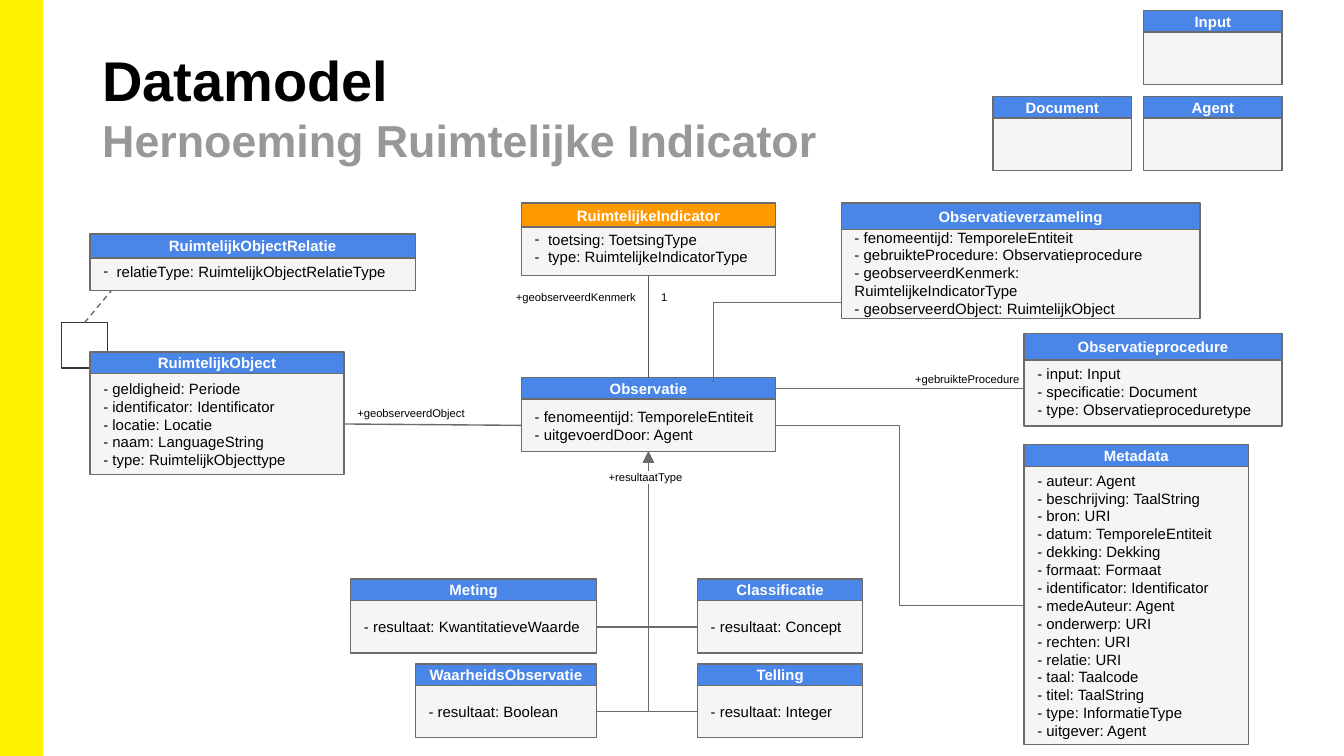
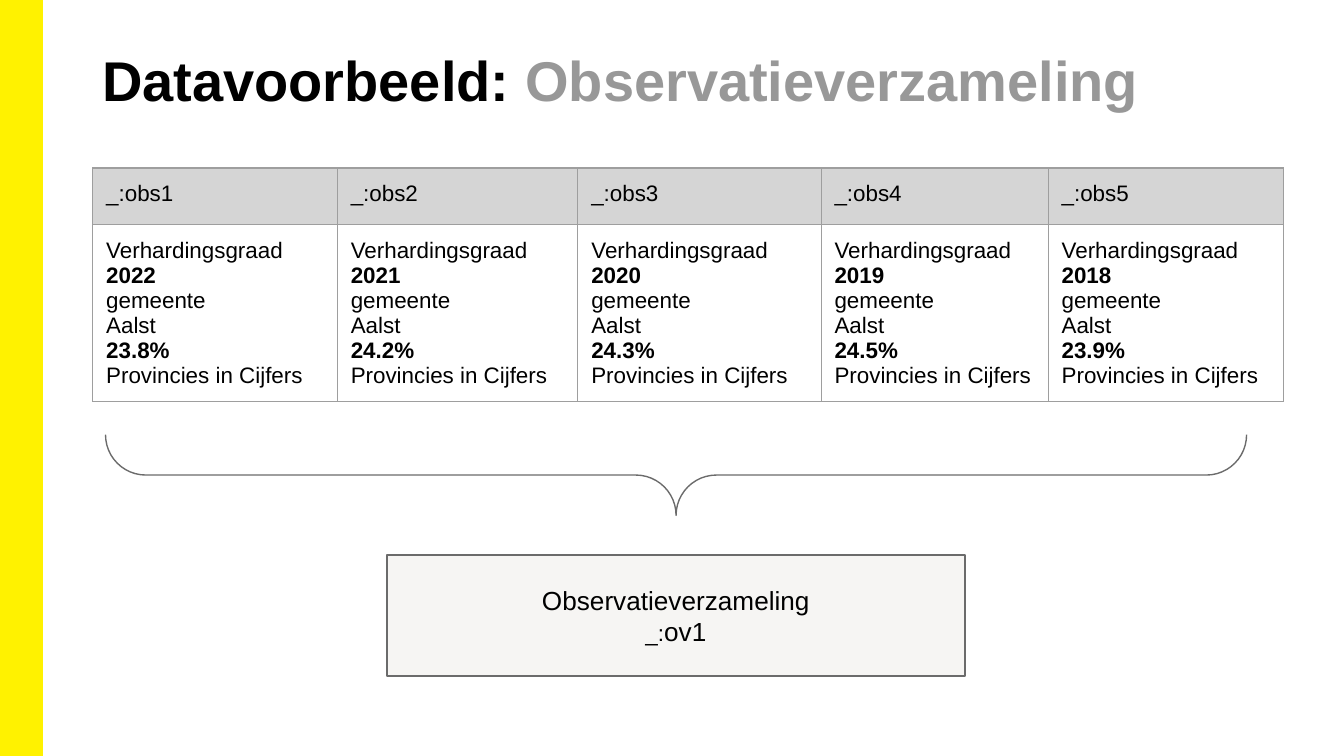
from lxml.etree import SubElement
from pptx import Presentation
from pptx.dml.color import RGBColor
from pptx.enum.dml import MSO_LINE_DASH_STYLE as DASH
from pptx.enum.shapes import MSO_CONNECTOR as CXN, MSO_SHAPE as SHAPE
from pptx.enum.text import MSO_ANCHOR as ANCHOR, MSO_AUTO_SIZE as FIT, PP_ALIGN as ALIGN
from pptx.oxml.ns import qn
from pptx.util import Inches, Pt

# Shared style
W = 10
H = W * 9 / 16
FONT = "Arial"
YELLOW, BLUE, ORANGE, PALE = "FFF200", "4A86E8", "FF9900", "F6F5F3"
LINE, DARK, GREY, BLACK, WHITE = "6B6B6B", "595959", "989898", "000000", "FFFFFF"
HEADER, BORDER = "D5D5D5", "9E9E9E"
TOP, LEFT, BOTTOM, RIGHT = range(4)
HEAD, BODY = 0.16, 0.39

# Slide 1: (name, x, y, width, head height, body offset, body height, attributes)
CLASSES = [
    ("Agent", 8.51, 0.72, 1.03, HEAD, HEAD, BODY, []),
    ("Document", 7.39, 0.72, 1.03, HEAD, HEAD, BODY, []),
    ("Input", 8.51, 0.08, 1.03, HEAD, HEAD, BODY, []),
    ("Observatie", 3.88, 2.81, 1.89, HEAD, HEAD, BODY,
     ["fenomeentijd: TemporeleEntiteit", "uitgevoerdDoor: Agent"]),
    ("Classificatie", 5.19, 4.31, 1.23, HEAD, HEAD, BODY, ["resultaat: Concept"]),
    ("Meting", 2.61, 4.31, 1.83, HEAD, HEAD, BODY, ["resultaat: KwantitatieveWaarde"]),
    ("Telling", 5.19, 4.94, 1.23, HEAD, HEAD, BODY, ["resultaat: Integer"]),
    ("WaarheidsObservatie", 3.09, 4.94, 1.35, HEAD, HEAD, BODY, ["resultaat: Boolean"]),
    ("RuimtelijkObject", 0.67, 2.62, 1.89, HEAD, HEAD, 0.75,
     ["geldigheid: Periode", "identificator: Identificator", "locatie: Locatie",
      "naam: LanguageString", "type: RuimtelijkObjecttype"]),
    ("Observatieprocedure", 7.62, 2.48, 1.92, 0.2, 0.18, 0.51,
     ["input: Input", "specificatie: Document", "type: Observatieproceduretype"]),
    ("RuimtelijkeIndicator", 3.88, 1.51, 1.89, 0.18, 0.13, 0.41,
     ["toetsing: ToetsingType", "type: RuimtelijkeIndicatorType"]),
    ("Metadata", 7.62, 3.31, 1.67, HEAD, HEAD, 2.07,
     ["auteur: Agent", "beschrijving: TaalString", "bron: URI",
      "datum: TemporeleEntiteit", "dekking: Dekking", "formaat: Formaat",
      "identificator: Identificator", "medeAuteur: Agent", "onderwerp: URI",
      "rechten: URI", "relatie: URI", "taal: Taalcode", "titel: TaalString",
      "type: InformatieType", "uitgever: Agent"]),
    ("RuimtelijkObjectRelatie", 0.67, 1.74, 2.42, 0.18, 0.14, 0.28,
     ["relatieType: RuimtelijkObjectRelatieType"]),
    ("Observatieverzameling", 6.26, 1.51, 2.67, 0.2, 0.18, 0.68,
     ["fenomeentijd: TemporeleEntiteit", "gebruikteProcedure: Observatieprocedure",
      "geobserveerdKenmerk: RuimtelijkeIndicatorType",
      "geobserveerdObject: RuimtelijkObject"]),
]
BULLETED = {"RuimtelijkeIndicator", "RuimtelijkObjectRelatie"}
RENAMED = {"RuimtelijkeIndicator"}
RESULTS = [("Meting", RIGHT), ("WaarheidsObservatie", RIGHT),
           ("Classificatie", LEFT), ("Telling", LEFT)]
LABELS = [  # text, x, y, width
    ("+geobserveerdObject", 2.56, 2.92, 1.18),
    ("+gebruikteProcedure", 6.71, 2.67, 1.18),
    ("+geobserveerdKenmerk", 3.74, 2.06, 1.18),
    ("1", 4.82, 2.06, 0.22),
    ("+resultaatType", 4.43, 3.4, 0.77),
]

# Slide 2
OBSERVATIONS = [("2022", "23.8%"), ("2021", "24.2%"), ("2020", "24.3%"),
                ("2019", "24.5%"), ("2018", "23.9%")]
COL_WIDTHS = [1.82, 1.79, 1.81, 1.69, 1.75]
ROW_HEIGHTS = [0.42, 1.32]


def rgb(value):
    return RGBColor.from_string(value)


def box(*lengths):
    return [Inches(v) for v in lengths]


def style(r, size, color=BLACK, bold=False):
    r.font.name, r.font.size, r.font.bold = FONT, Pt(size), bold
    r.font.color.rgb = rgb(color)


def insets(frame, x=0.1, y=0.1):
    frame.margin_left = frame.margin_right = Inches(x)
    frame.margin_top = frame.margin_bottom = Inches(y)


def dash_bullet(p, size):
    pPr = p._p.get_or_add_pPr()
    pPr.set("marL", str(Inches(0.1)))
    pPr.set("indent", str(-Inches(0.1)))
    color = SubElement(pPr, qn("a:buClr"))
    SubElement(color, qn("a:srgbClr")).set("val", BLACK)
    SubElement(pPr, qn("a:buSzPts")).set("val", str(size * 100))
    SubElement(pPr, qn("a:buFont")).set("typeface", FONT)
    SubElement(pPr, qn("a:buChar")).set("char", "-")


def write(sp, lines, size, color=BLACK, bold=False, align=ALIGN.LEFT, bullets=False):
    """Fill a shape with one paragraph per line."""
    tf = sp.text_frame
    tf.auto_size, tf.word_wrap = FIT.NONE, True
    insets(tf)
    tf.text = "\n".join(lines)
    for p in tf.paragraphs:
        p.alignment = align
        if bullets:
            dash_bullet(p, size)
        for r in p.runs:
            style(r, size, color, bold)


def add_box(shapes, at, fill=None, line=LINE, kind=SHAPE.RECTANGLE, width=0.75):
    sp = shapes.add_shape(kind, *box(*at))
    sp.shadow.inherit = False
    if fill:
        sp.fill.solid()
        sp.fill.fore_color.rgb = rgb(fill)
    else:
        sp.fill.background()
    sp.line.color.rgb = rgb(line)
    sp.line.width = Pt(width)
    sp.text_frame.vertical_anchor = ANCHOR.MIDDLE
    return sp


def add_class(slide, name, x, y, w, head_h, offset, body_h, attrs):
    """Draw a class as a grouped body and head; return both."""
    shapes = slide.shapes.add_group_shape().shapes
    body = add_box(shapes, (x, y + offset, w, body_h), PALE)
    if attrs:
        bullets = name in BULLETED
        write(body, attrs if bullets else [f"- {a}" for a in attrs], 8, bullets=bullets)
    head = add_box(shapes, (x, y, w, head_h), ORANGE if name in RENAMED else BLUE)
    write(head, [name], 8, WHITE, True, ALIGN.CENTER)
    return head, body


def link(slide, begin, end, kind=CXN.STRAIGHT, color=LINE, geometry=None, adj=None,
         arrow=False):
    """Join two ends; each is a point (x, y) or a (shape, side) pair."""
    c = slide.shapes.add_connector(kind, 0, 0, 0, 0)
    if hasattr(begin[0], "shape_id"):
        c.begin_connect(*begin)
    else:
        c.begin_x, c.begin_y = box(*begin)
    if hasattr(end[0], "shape_id"):
        c.end_connect(*end)
    else:
        c.end_x, c.end_y = box(*end)
    c.line.color.rgb = rgb(color)
    c.line.width = Pt(0.75)
    spPr = c._element.spPr
    geom = spPr.find(qn("a:prstGeom"))
    if geometry:
        geom.set("prst", geometry)
    if adj is not None:
        guide = SubElement(geom.find(qn("a:avLst")), qn("a:gd"))
        guide.set("name", "adj1")
        guide.set("fmla", f"val {adj}")
    if arrow:
        SubElement(spPr.find(qn("a:ln")), qn("a:tailEnd")).set("type", "triangle")
    SubElement(spPr, qn("a:effectLst"))
    return c


def add_label(slide, text, x, y, w):
    sp = slide.shapes.add_textbox(*box(x, y, w, 0.33))
    write(sp, [text], 6)
    return sp


def highlight(r, color):
    mark = SubElement(r._r.rPr, qn("a:highlight"))
    SubElement(mark, qn("a:srgbClr")).set("val", color)
    r._r.rPr.find(qn("a:solidFill")).addnext(mark)


def add_slide(prs, paragraphs, width):
    """Add a title-only slide; each title paragraph is a list of (text, size, colour)."""
    slide = prs.slides.add_slide(prs.slide_layouts[5])
    title = slide.shapes.title
    title.left, title.top, title.width, title.height = box(0.69, 0.3, width, 0.6)
    tf = title.text_frame
    tf.auto_size, tf.word_wrap, tf.vertical_anchor = FIT.NONE, True, ANCHOR.TOP
    insets(tf, 0.07, 0.04)
    for i, runs in enumerate(paragraphs):
        p = tf.add_paragraph() if i else tf.paragraphs[0]
        p.alignment, p.line_spacing = ALIGN.LEFT, 1.0
        for text, size, color in runs:
            r = p.add_run()
            r.text = text
            style(r, size, color, True)
    return slide


def add_band(prs, slide):
    """Move the yellow side band to the master, behind everything."""
    band = add_box(slide.shapes, (0, 0, 0.31, H), YELLOW, YELLOW, width=1)
    band._element.nvSpPr.cNvPr.set("id", "20")
    prs.slide_master.shapes.element.insert(2, band._element)


def border(cell):
    tcPr = cell._tc.get_or_add_tcPr()
    for i, side in enumerate(("lnL", "lnR", "lnT", "lnB")):
        ln = tcPr.makeelement(qn(f"a:{side}"), {"w": str(Pt(0.75))})
        fill = SubElement(ln, qn("a:solidFill"))
        SubElement(fill, qn("a:srgbClr")).set("val", BORDER)
        tcPr.insert(i, ln)


def build_model(prs):
    slide = add_slide(prs, [[("Datamodel", 30, BLACK)],
                            [("Hernoeming Ruimtelijke Indicator", 24, GREY)]], 8.88)
    add_band(prs, slide)
    square = add_box(slide.shapes, (0.46, 2.4, 0.34, 0.34), line="373636")
    heads, bodies = {}, {}
    for row in CLASSES:
        heads[row[0]], bodies[row[0]] = add_class(slide, *row)
    observation = bodies["Observatie"]

    # Relations
    link(slide, (bodies["RuimtelijkeIndicator"], BOTTOM), (heads["Observatie"], TOP),
         color=DARK)
    link(slide, (bodies["RuimtelijkObject"], RIGHT), (observation, LEFT))
    link(slide, (heads["Observatie"], RIGHT), (7.62, 2.89))
    link(slide, (square, TOP), (0.83, 2.16)).line.dash_style = DASH.DASH
    link(slide, (observation, RIGHT), (bodies["Metadata"], LEFT), CXN.ELBOW)
    link(slide, (5.3, 2.84), (6.26, 2.25), CXN.ELBOW, adj=1100)
    for name, side in RESULTS:
        link(slide, (bodies[name], side), (observation, BOTTOM), CXN.ELBOW,
             geometry="bentConnector2", arrow=True)

    # Relation labels; the last one covers its line
    labels = [add_label(slide, *row) for row in LABELS]
    highlight(labels[-1].text_frame.paragraphs[0].runs[0], WHITE)


def build_example(prs):
    slide = add_slide(prs, [[("Datavoorbeeld: ", 30, BLACK),
                             ("Observatieverzameling", 30, GREY)]], 8.33)

    # Observations
    frame = slide.shapes.add_table(2, len(OBSERVATIONS), *box(
        0.69, 1.25, sum(COL_WIDTHS), sum(ROW_HEIGHTS)))
    table = frame.table
    table.first_row = table.horz_banding = False
    for row, height in zip(table.rows, ROW_HEIGHTS):
        row.height = Inches(height)
    for col, (year, value) in enumerate(OBSERVATIONS):
        table.columns[col].width = Inches(COL_WIDTHS[col])
        texts = [[f"_:obs{col + 1}"],
                 ["Verhardingsgraad", year, "gemeente", "Aalst", value,
                  "Provincies in Cijfers"]]
        for row, lines in enumerate(texts):
            cell = table.cell(row, col)
            insets(cell)
            cell.text = "\n".join(lines)
            for p in cell.text_frame.paragraphs:
                style(p.runs[0], 12, bold=p.text in (year, value))
            if row == 0:
                cell.fill.solid()
                cell.fill.fore_color.rgb = rgb(HEADER)
            else:
                cell.fill.background()
            border(cell)

    # Collection
    collection = add_box(slide.shapes, (2.88, 4.13, 4.3, 0.9), PALE)
    write(collection, ["Observatieverzameling", "_:"], 14, align=ALIGN.CENTER)
    p = collection.text_frame.paragraphs[1]
    p.runs[0].font.size = Pt(12)
    r = p.add_run()
    r.text = "ov1"
    style(r, 14)
    brace = add_box(slide.shapes, (4.73, -0.71, 0.6, 8.49), kind=SHAPE.RIGHT_BRACE)
    brace.rotation = 90
    brace.adjustments[0] = brace.adjustments[1] = 0.5


def main():
    prs = Presentation()
    prs.slide_width, prs.slide_height = box(W, H)
    build_model(prs)
    build_example(prs)
    prs.save("out.pptx")


if __name__ == "__main__":
    main()
